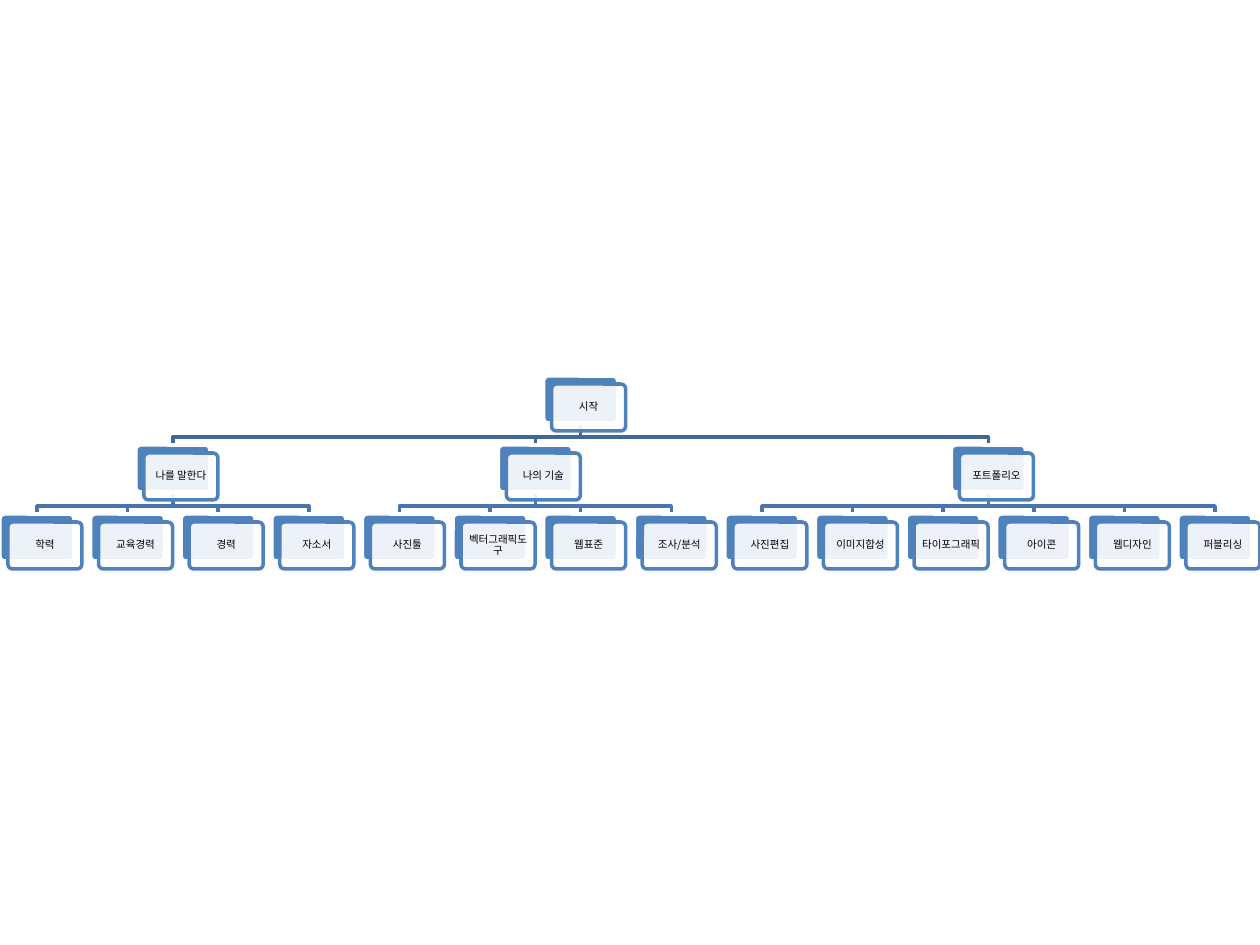
from dataclasses import dataclass

from lxml.etree import SubElement
from pptx import Presentation
from pptx.dml.color import RGBColor as Rgb
from pptx.enum.shapes import MSO_SHAPE as Kind
from pptx.enum.text import MSO_ANCHOR as Anchor, PP_ALIGN as Align
from pptx.oxml.ns import qn
from pptx.util import Pt

PX = 914400 / 126  # EMU in one px
WIDE, HIGH = 1260, 945


@dataclass(frozen=True)
class Theme:
    blue: str = "4F81BD"
    white: str = "FFFFFF"
    ink: str = "000000"
    links: tuple = ("3F6797", "4875AC")  # by depth of the parent
    font: str = "Noto Sans CJK KR"
    size: int = 6
    line: int = 2
    alpha: int = 90


THEME = Theme()

# Card size, offset of the front card, and the rows of the tree
CARD_W, CARD_H, SHIFT = 74, 47, 8
TOP, ROW, BEND = 376, 69, 14

ROOT = "시작"
TREE = {
    "나를 말한다": ["학력", "교육경력", "경력", "자소서"],
    "나의 기술": ["사진툴", "벡터그래픽도구", "웹표준", "조사/분석"],
    "포트폴리오": ["사진편집", "이미지합성", "타이포그래픽", "아이콘", "웹디자인", "퍼블리싱"],
}


def emu(*vals):
    return [round(v * PX) for v in vals]


def style(obj, **vals):
    for key, val in vals.items():
        setattr(obj, key, val)


def stroke(shape, color):
    shape.shadow.inherit = False
    shape.line.color.rgb = Rgb.from_string(color)
    shape.line.width = Pt(THEME.line)


def plate(slide, x, y, fill, edge):
    """Rounded plate with its top left corner at x, y."""
    shape = slide.shapes.add_shape(Kind.ROUNDED_RECTANGLE, *emu(x, y, CARD_W, CARD_H))
    shape.adjustments[0] = 0.1
    shape.fill.solid()
    shape.fill.fore_color.rgb = Rgb.from_string(fill)
    stroke(shape, edge)
    return shape


def label(shape, text):
    frame = shape.text_frame
    pad = emu(4)[0]
    style(frame, word_wrap=True, vertical_anchor=Anchor.MIDDLE, margin_left=pad,
          margin_right=pad, margin_top=pad, margin_bottom=pad)
    para = frame.paragraphs[0]
    style(para, alignment=Align.CENTER, line_spacing=0.9)
    run = para.add_run()
    run.text = text
    style(run.font, name=THEME.font, size=Pt(THEME.size))
    run.font.color.rgb = Rgb.from_string(THEME.ink)
    SubElement(run.font._element, qn("a:ea"), typeface=THEME.font)


def card(slide, mid, y, text):
    """Blue back plate and a translucent front plate with the text."""
    x = mid - CARD_W / 2
    plate(slide, x, y, THEME.blue, THEME.white)
    front = plate(slide, x + SHIFT, y + SHIFT, THEME.white, THEME.blue)
    color = front.fill._xPr.find(qn("a:solidFill"))[0]
    SubElement(color, qn("a:alpha"), val=str(THEME.alpha * 1000))
    label(front, text)


def link(slide, start, end, depth):
    """Elbow line from the foot of a parent to the top of its child."""
    y = TOP + depth * ROW + CARD_H
    pen = slide.shapes.build_freeform(*emu(start, y))
    pen.add_line_segments(
        [emu(start, y + BEND), emu(end, y + BEND), emu(end, TOP + (depth + 1) * ROW)],
        close=False)
    shape = pen.convert_to_shape()
    shape.fill.background()
    stroke(shape, THEME.links[depth])


def chart(slide, left, width):
    """Tree whose leaves fill the width evenly, parents centred above."""
    count = sum(map(len, TREE.values()))
    step = (width - CARD_W - SHIFT) / (count - 1)
    mids = [left + CARD_W / 2 + i * step for i in range(count)]
    nodes, links, tops, used = [], [], [], 0
    for name, kids in TREE.items():
        own = mids[used:used + len(kids)]
        used += len(kids)
        mid = (own[0] + own[-1]) / 2
        tops.append(mid)
        nodes.append((mid, 1, name))
        nodes += [(x, 2, kid) for x, kid in zip(own, kids)]
        links += [(mid, x, 1) for x in own]
    root = (tops[0] + tops[-1]) / 2
    links += [(root, mid, 0) for mid in tops]

    # Links lie behind the cards
    for start, end, depth in links:
        link(slide, start, end, depth)
    for mid, depth, text in [(root, 0, ROOT)] + nodes:
        card(slide, mid, TOP + depth * ROW, text)


def main():
    deck = Presentation()
    deck.slide_width, deck.slide_height = emu(WIDE, HIGH)
    slide = deck.slides.add_slide(deck.slide_layouts[6])
    chart(slide, 0, WIDE)
    deck.save("out.pptx")


if __name__ == "__main__":
    main()
